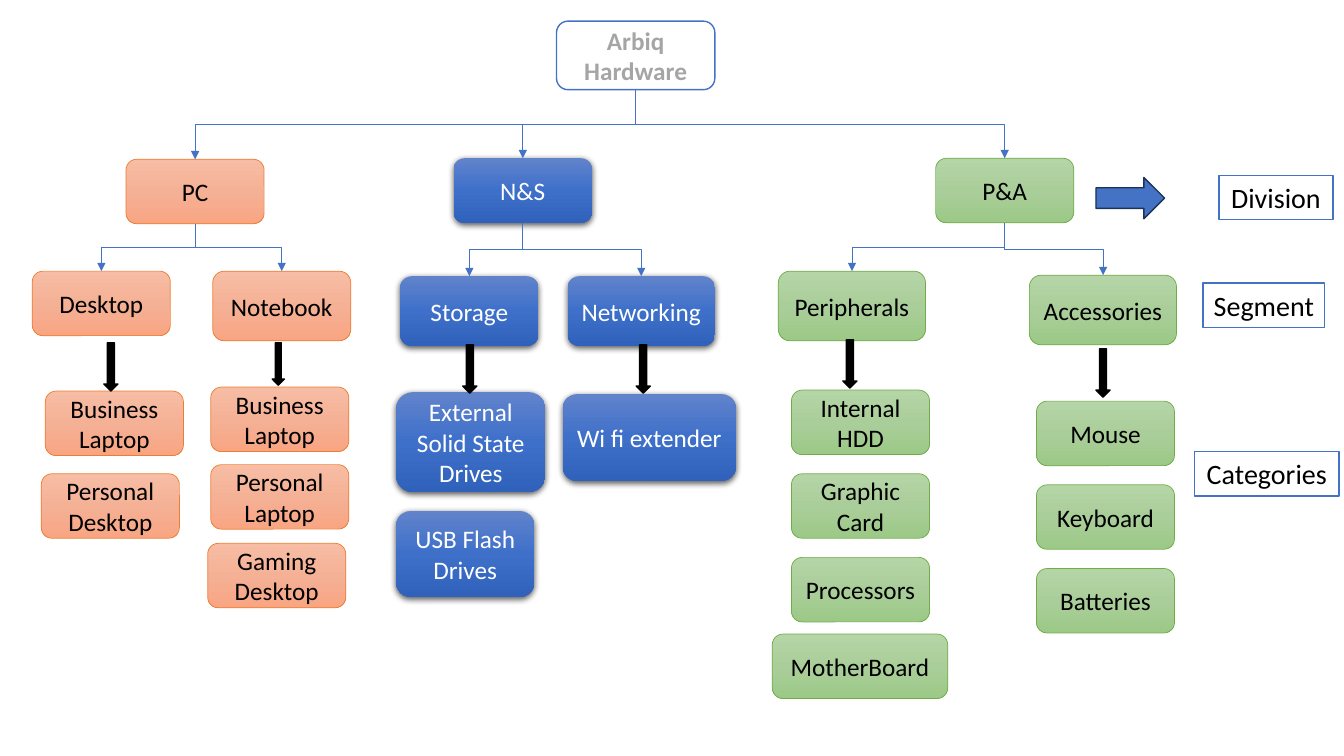
from collections import namedtuple
from copy import deepcopy

from pptx import Presentation
from pptx.dml.color import RGBColor
from pptx.enum.shapes import MSO_CONNECTOR, MSO_SHAPE
from pptx.enum.text import MSO_ANCHOR, PP_ALIGN
from pptx.oxml import parse_xml
from pptx.oxml.ns import nsdecls, qn
from pptx.util import Inches, Pt

BLACK = RGBColor(0x00, 0x00, 0x00)
WHITE = RGBColor(0xFF, 0xFF, 0xFF)
GREY = RGBColor(0xA5, 0xA5, 0xA5)
BLUE = RGBColor(0x44, 0x72, 0xC4)
NAVY = RGBColor(0x1E, 0x32, 0x56)

Box = namedtuple("Box", "left top width height", defaults=(1.37, 0.64))
Style = namedtuple("Style", "stops line text")
Segment = namedtuple("Segment", "label box arrow categories")

ORANGE_STYLE = Style(
    (RGBColor(0xF7, 0xBD, 0xA5), RGBColor(0xF5, 0xB1, 0x96), RGBColor(0xF8, 0xA5, 0x82)),
    RGBColor(0xED, 0x7D, 0x31), BLACK)
BLUE_STYLE = Style(
    (RGBColor(0x61, 0x83, 0xCB), RGBColor(0x3E, 0x70, 0xCA), RGBColor(0x30, 0x62, 0xBB)),
    None, WHITE)
GREEN_STYLE = Style(
    (RGBColor(0xB5, 0xD5, 0xA7), RGBColor(0xAA, 0xCE, 0x9A), RGBColor(0x9C, 0xC9, 0x87)),
    RGBColor(0x70, 0xAD, 0x47), BLACK)

ROW_STEP = 0.83
DIVISIONS = [
    ("PC", Box(1.25, 1.58), ORANGE_STYLE, [
        Segment("Desktop", Box(-0.93, 1.11), Box(0.71, 0.71, 0.14, 0.48), [
            ("Business\nLaptop", Box(0.13, 1.19)),
            ("Personal\nDesktop", Box(0.09, 2.01))]),
        Segment("Notebook", Box(0.86, 1.11, 1.37, 0.69), Box(0.59, 0.71, 0.12, 0.42), [
            ("Business\nLaptop", Box(-0.02, 1.15)),
            ("Personal\nLaptop", Box(-0.02, 1.92)),
            ("Gaming\nDesktop", Box(-0.05, 2.7))])]),
    ("N&S", Box(4.5, 1.57), BLUE_STYLE, [
        Segment("Storage", Box(-0.53, 1.17, 1.37, 0.69), Box(0.62, 0.68, 0.14, 0.48), [
            ("External Solid State Drives", Box(-0.04, 1.15, 1.48, 0.99)),
            ("USB Flash Drives", Box(-0.04, 2.33, 1.37, 0.85))]),
        Segment("Networking", Box(1.13, 1.17, 1.46, 0.69), Box(0.68, 0.68, 0.14, 0.48), [
            ("Wi fi extender", Box(-0.05, 1.17, 1.72, 0.86))])]),
    ("P&A", Box(9.28, 1.57), GREEN_STYLE, [
        Segment("Peripherals", Box(-1.56, 1.12, 1.46, 0.69), Box(0.64, 0.68, 0.14, 0.48), [
            *((label, Box(0.13, 1.18 + row * ROW_STEP)) for row, label in
              enumerate(("Internal HDD", "Graphic Card", "Processors"))),
            ("MotherBoard", Box(-0.06, 3.6, 1.74))]),
        Segment("Accessories", Box(0.93, 1.16, 1.46, 0.69), Box(0.66, 0.73, 0.14, 0.48), [
            (label, Box(0.07, 1.25 + row * ROW_STEP)) for row, label in
            enumerate(("Mouse", "Keyboard", "Batteries"))])]),
]
LEVELS = [
    ("Division", Box(12.09, 1.74, 1.13, 0.44)),
    ("Segment", Box(11.93, 2.81, 1.21, 0.44)),
    ("Categories", Box(11.85, 4.48, 1.43, 0.44)),
]


def inside(box, parent):
    """Turn a box measured from its parent into one measured from the slide."""
    return box._replace(left=parent.left + box.left, top=parent.top + box.top)


def add_plain(page, kind, box, fill, line):
    """Add a preset shape with a solid fill and a one-point line."""
    shape = page.shapes.add_shape(kind, *(Inches(length) for length in box))
    shape.shadow.inherit = False
    shape.fill.solid()
    shape.fill.fore_color.rgb = fill
    shape.line.color.rgb = line
    shape.line.width = Pt(1)
    return shape


def write(shape, text, color, size=18, bold=False):
    """Write centred paragraphs into a shape."""
    frame = shape.text_frame
    frame.vertical_anchor = MSO_ANCHOR.MIDDLE
    for index, line in enumerate(text.split("\n")):
        para = frame.add_paragraph() if index else frame.paragraphs[0]
        para.alignment = PP_ALIGN.CENTER
        span = para.add_run()
        span.text = line
        span.font.name = "Calibri"
        span.font.size = Pt(size)
        span.font.bold = bold
        span.font.color.rgb = color


def add_shadow(shape):
    """Give a shape a soft shadow below it."""
    effects = shape.element.spPr.find(qn("a:effectLst"))
    effects.append(parse_xml(
        f'<a:outerShdw {nsdecls("a")} blurRad="57150" dist="19050" dir="5400000" '
        'algn="ctr" rotWithShape="0"><a:srgbClr val="000000">'
        '<a:alpha val="63000"/></a:srgbClr></a:outerShdw>'))


def add_node(page, box, label, style):
    """Add a rounded box with the gradient of its division."""
    node = add_plain(page, MSO_SHAPE.ROUNDED_RECTANGLE, box, WHITE, BLUE)
    node.fill.gradient()
    node.fill.gradient_angle = 270
    stop_list = node.element.spPr.find(qn("a:gradFill")).find(qn("a:gsLst"))
    stop_list.append(deepcopy(stop_list[0]))
    for stop, position, color in zip(node.fill.gradient_stops, (0, 0.5, 1), style.stops):
        stop.position = position
        stop.color.rgb = color
    if style.line is None:
        node.line.fill.background()
        add_shadow(node)
    else:
        node.line.color.rgb = style.line
        node.line.width = Pt(0.5)
    write(node, label, style.text)
    return node


def join(page, parent, child):
    """Link the bottom of a parent to the top of a child with an elbow arrow."""
    start_x, start_y = parent.left + parent.width // 2, parent.top + parent.height
    end_x, end_y = child.left + child.width // 2, child.top
    link = page.shapes.add_connector(MSO_CONNECTOR.ELBOW, start_x, start_y, end_x, end_y)
    link.begin_connect(parent, 2)
    link.end_connect(child, 0)
    drop, spread = end_y - start_y, abs(end_x - start_x)
    link.left = (start_x + end_x - drop) // 2
    link.top = (start_y + end_y - spread) // 2
    link.width, link.height = drop, spread
    rightward = end_x > start_x
    frame = link.element.spPr.find(qn("a:xfrm"))
    frame.set("rot", "16200000" if rightward else "5400000")
    frame.set("flipH", "1" if rightward else "0")
    frame.set("flipV", "0")
    link.line.color.rgb = BLUE
    link.line.width = Pt(0.5)
    link.line._get_or_add_ln().append(
        parse_xml(f'<a:tailEnd {nsdecls("a")} type="triangle"/>'))
    link.element.spPr.append(parse_xml(f'<a:effectLst {nsdecls("a")}/>'))


def draw_segment(page, box, segment, style):
    """Draw a segment with its categories and the arrow to them."""
    node = add_node(page, box, segment.label, style)
    for label, place in segment.categories:
        add_node(page, inside(place, box), label, style)
    add_plain(page, MSO_SHAPE.DOWN_ARROW, inside(segment.arrow, box), BLACK, BLACK)
    return node


def draw_division(page, box, label, style, segments):
    """Draw a division and the segments joined to it."""
    division = add_node(page, box, label, style)
    for segment in segments:
        join(page, division, draw_segment(page, inside(segment.box, box), segment, style))
    return division


def draw_levels(page, arrow_box, levels):
    """Draw the arrow and the names of the levels at the right."""
    add_plain(page, MSO_SHAPE.RIGHT_ARROW, arrow_box, BLUE, NAVY)
    for label, box in levels:
        tag = add_plain(page, MSO_SHAPE.RECTANGLE, box, WHITE, BLUE)
        tag.text_frame.word_wrap = False
        write(tag, label, BLACK, size=20)


def main():
    """Build the hierarchy slide and save it."""
    deck = Presentation()
    deck.slide_width, deck.slide_height = Inches(13.33), Inches(7.5)
    page = deck.slides.add_slide(deck.slide_layouts[6])
    company = add_plain(page, MSO_SHAPE.ROUNDED_RECTANGLE, Box(5.52, 0.21, 1.57, 0.68), WHITE, BLUE)
    write(company, "Arbiq Hardware", GREY, bold=True)
    for label, box, style, segments in DIVISIONS:
        join(page, company, draw_division(page, box, label, style, segments))
    draw_levels(page, Box(10.87, 1.76, 0.68, 0.41), LEVELS)
    deck.save("out.pptx")


if __name__ == "__main__":
    main()
